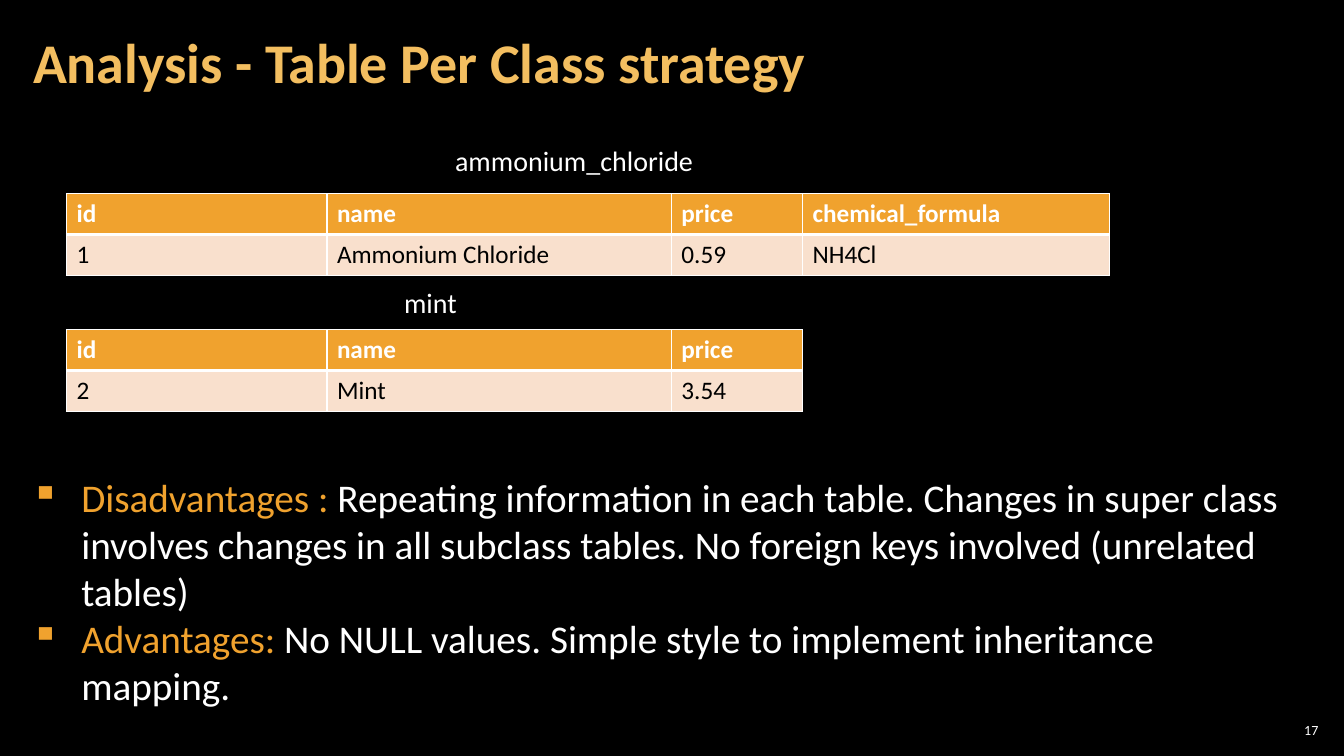
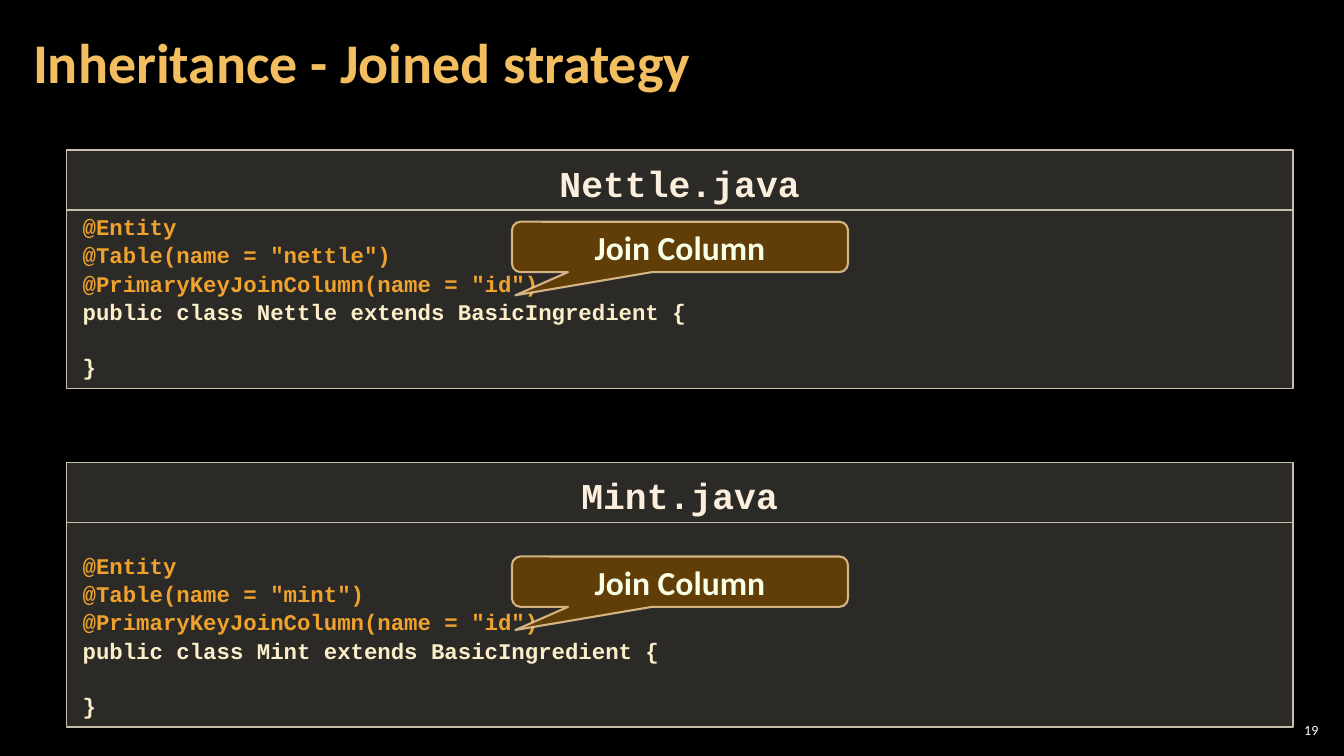
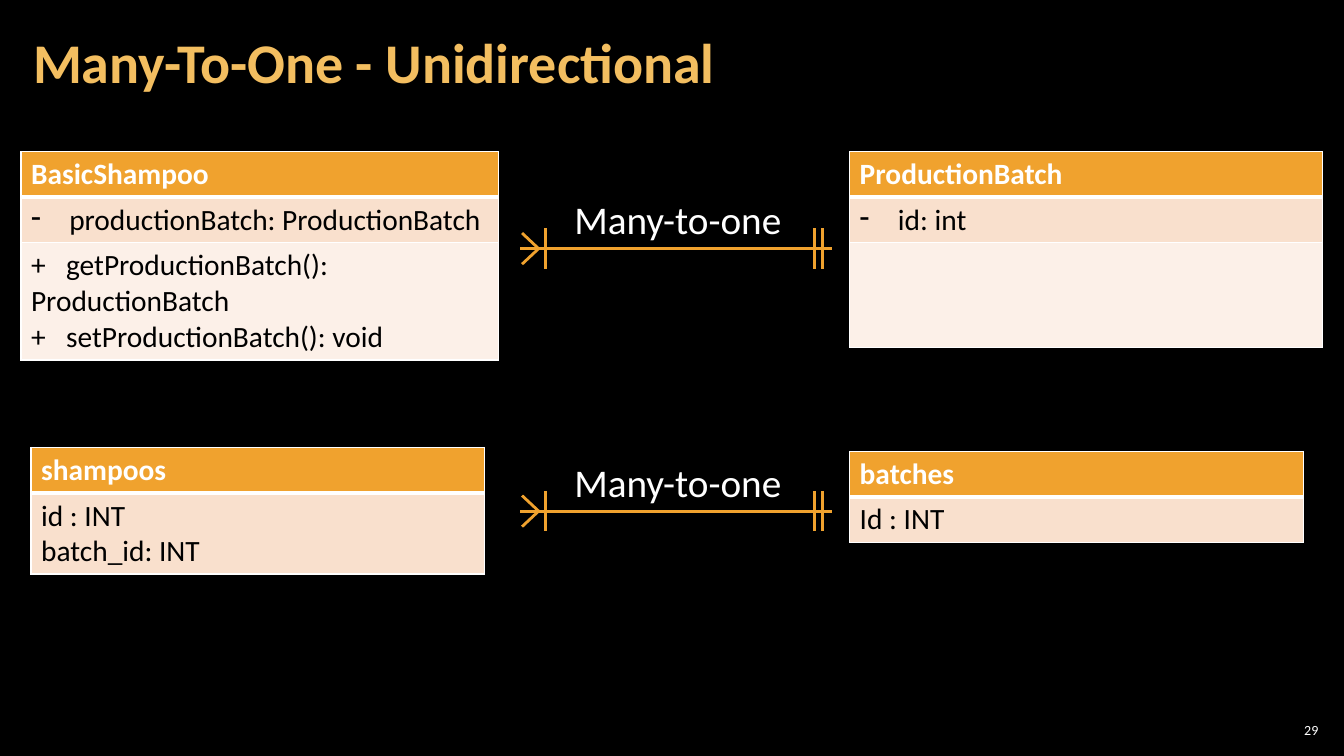
from lxml import etree
from pptx import Presentation
from pptx.dml.color import RGBColor
from pptx.enum.shapes import MSO_CONNECTOR, MSO_SHAPE
from pptx.enum.text import MSO_ANCHOR, PP_ALIGN
from pptx.oxml.ns import qn
from pptx.util import Inches, Pt

LEFT, CENTER, RIGHT = PP_ALIGN.LEFT, PP_ALIGN.CENTER, PP_ALIGN.RIGHT
TOP, MIDDLE, BOTTOM = MSO_ANCHOR.TOP, MSO_ANCHOR.MIDDLE, MSO_ANCHOR.BOTTOM
RECTANGLE = MSO_SHAPE.RECTANGLE
CALLOUT = MSO_SHAPE.ROUNDED_RECTANGULAR_CALLOUT
STRAIGHT = MSO_CONNECTOR.STRAIGHT

COLUMNS, ROWS = 64, 36
WIDTH, HEIGHT = Inches(40 / 3), Inches(7.5)


def rgb(hex_text):
    return RGBColor.from_string(hex_text)


class Deck:
    """Holds the style and the current slide; lengths are in grid cells."""

    BODY, CODE = "Calibri", "Courier New"
    BLACK, WHITE = "000000", "FFFFFF"
    ACCENT, TITLE = "F0A22E", "F3BE60"
    ROW_FILLS = [ACCENT, "F9E0CD", "FCF0E8"]
    CODE_FILL, CODE_LINE = "D9D5C7", "C7BFAC"
    CODE_HEADING, CODE_TEXT = "FBEEDC", "FBEEC9"
    CALLOUT_FILL, CALLOUT_LINE, CALLOUT_TEXT = "643F07", "F8D49E", "F7FFE7"

    def __init__(self):
        self.presentation = Presentation()
        self.presentation.slide_width = WIDTH
        self.presentation.slide_height = HEIGHT
        self.slide = None

    def x(self, columns):
        return round(WIDTH * columns / COLUMNS)

    def y(self, rows):
        return round(HEIGHT * rows / ROWS)

    def box(self, left, top, width, height):
        return self.x(left), self.y(top), self.x(width), self.y(height)

    def new_slide(self, title, number):
        layout = self.presentation.slide_layouts[6]
        self.slide = self.presentation.slides.add_slide(layout)
        background = self.slide.background.fill
        background.solid()
        background.fore_color.rgb = rgb(self.BLACK)
        self.text((60.72, 34.27, 2.25, 1), [number], 10, align=RIGHT,
                  anchor=MIDDLE, insets=(0.04, 0.04))
        self.text((1, 0.2, 50.25, 5.8), [title], 40, self.TITLE, bold=True,
                  anchor=MIDDLE, insets=(0.12, 0.04), spacing=0.9)

    def style(self, run, size, color, bold=False, font=BODY):
        run.font.size = Pt(size)
        run.font.name = font
        run.font.bold = bold
        run.font.color.rgb = rgb(color)

    def set_text(self, frame, lines, size, color=WHITE, bold=False, font=BODY,
                 align=LEFT, anchor=TOP, insets=(0.1, 0.05), spacing=None):
        frame.word_wrap = True
        frame.vertical_anchor = anchor
        frame.margin_left = frame.margin_right = Inches(insets[0])
        frame.margin_top = frame.margin_bottom = Inches(insets[1])
        frame.text = "\n".join(lines)
        for paragraph in frame.paragraphs:
            paragraph.alignment = align
            if spacing:
                paragraph.line_spacing = spacing
            for run in paragraph.runs:
                self.style(run, size, color, bold, font)

    def text(self, place, lines, size, color=WHITE, **options):
        shape = self.slide.shapes.add_textbox(*self.box(*place))
        self.set_text(shape.text_frame, lines, size, color, **options)
        return shape.text_frame

    def bullet(self, paragraph, character, indent):
        properties = paragraph._p.get_or_add_pPr()
        properties.set("marL", str(self.x(indent)))
        properties.set("indent", str(-self.x(indent)))
        etree.SubElement(properties, qn("a:buChar"), char=character)

    def tab_stop(self, paragraph, position):
        tabs = etree.SubElement(paragraph._p.get_or_add_pPr(), qn("a:tabLst"))
        etree.SubElement(tabs, qn("a:tab"), pos=str(self.x(position)), algn="l")

    def bullet_list(self, place, items, size):
        """Each item is an accented lead-in and its explanation."""
        frame = self.text(place, [lead for lead, _ in items], size, self.ACCENT)
        for paragraph, (_, explanation) in zip(frame.paragraphs, items):
            self.bullet(paragraph, "▪", 2.4)
            run = paragraph.add_run()
            run.text = explanation
            self.style(run, size, self.WHITE)

    def shape(self, kind, place, fill, line, width, alphas):
        """Alphas are the opacities of fill and line, in percent."""
        shape = self.slide.shapes.add_shape(kind, *self.box(*place))
        shape.shadow.inherit = False
        shape.fill.solid()
        shape.fill.fore_color.rgb = rgb(fill)
        shape.line.color.rgb = rgb(line)
        shape.line.width = Pt(width)
        colors = shape._element.spPr.iter(qn("a:srgbClr"))
        for color, percent in zip(list(colors), alphas):
            etree.SubElement(color, qn("a:alpha"), val=str(percent * 1000))
        return shape

    def code_panel(self, top, height, file_name, annotations, declaration):
        heading_height = 2.85
        places = [(3.17, top + heading_height, 58.4, height),
                  (3.17, top, 58.4, heading_height)]
        code, heading = [
            self.shape(RECTANGLE, place, self.CODE_FILL, self.CODE_LINE, 1,
                       (20, 100)).text_frame for place in places]
        common = dict(bold=True, font=self.CODE, insets=(0.16, 0.08),
                      spacing=1.06)
        self.set_text(heading, [file_name], 26, self.CODE_HEADING,
                      align=CENTER, **common)
        self.set_text(code, annotations + [declaration, "}"], 16, self.ACCENT,
                      anchor=BOTTOM, **common)
        for paragraph in code.paragraphs[-2:]:
            paragraph.runs[0].font.color.rgb = rgb(self.CODE_TEXT)
        code.paragraphs[-1].space_before = Pt(19.2)

    def callout(self, place, label):
        shape = self.shape(CALLOUT, place, self.CALLOUT_FILL,
                           self.CALLOUT_LINE, 1.5, (95, 80))
        for index, value in enumerate((-0.49, 0.96, 0.17)):
            shape.adjustments[index] = value
        self.set_text(shape.text_frame, [label], 24, self.CALLOUT_TEXT,
                      bold=True, align=CENTER, anchor=MIDDLE)

    def borders(self, cell, widths):
        """Widths are in points, for left, right, top and bottom."""
        properties = cell._tc.get_or_add_tcPr()
        for index, (side, width) in enumerate(zip("LRTB", widths)):
            line = etree.Element(qn("a:ln" + side), w=str(Pt(width)))
            fill = etree.SubElement(line, qn("a:solidFill"))
            etree.SubElement(fill, qn("a:srgbClr"), val=self.WHITE)
            properties.insert(index, line)

    def table(self, left, top, widths, heights, rows, size):
        place = self.box(left, top, sum(widths), sum(heights))
        table = self.slide.shapes.add_table(
            len(rows), len(widths), *place).table
        table.first_row = table.horz_banding = False
        for column, width in zip(table.columns, widths):
            column.width = self.x(width)
        for index, (row, height) in enumerate(zip(table.rows, heights)):
            row.height = self.y(height)
            header = index == 0
            for cell, value in zip(row.cells, rows[index]):
                cell.fill.solid()
                cell.fill.fore_color.rgb = rgb(self.ROW_FILLS[index])
                self.borders(cell, (1, 1, 3 if index == 1 else 1,
                                    3 if header else 1))
                cell.text = value
                for paragraph in cell.text_frame.paragraphs:
                    if "\t" in value:
                        self.tab_stop(paragraph, 1.67)
                    for run in paragraph.runs:
                        self.style(run, size,
                                   self.WHITE if header else self.BLACK, header)
        return table

    def class_table(self, left, top, width, heights, *values):
        rows = [[value] for value in values]
        return self.table(left, top, [width], heights, rows, 21)

    def line(self, x1, y1, x2, y2):
        connector = self.slide.shapes.add_connector(
            STRAIGHT, self.x(x1), self.y(y1), self.x(x2), self.y(y2))
        connector.line.color.rgb = rgb(self.ACCENT)
        connector.line.width = Pt(2)
        etree.SubElement(connector._element.spPr, qn("a:effectLst"))

    def many_to_one(self, middle):
        self.line(24.77, middle, 39.6, middle)
        for offset in (-0.74, 0.74):
            self.line(24.86, middle + offset, 25.65, middle)
        for bar in (25.97, 38.78, 39.17):
            self.line(bar, middle - 0.96, bar, middle + 0.96)
        self.text((26.88, middle - 2.76, 12, 2.74), ["Many-to-one"], 28)


def table_per_class(deck):
    deck.new_slide("Analysis - Table Per Class strategy", "17")
    widths, heights = [12.4, 16.4, 6.25, 14.6], [1.95, 1.95]
    deck.text((21.2, 6.62, 13.5, 2.1), ["ammonium_chloride"], 20)
    deck.table(3.17, 9.22, widths, heights,
               [["id", "name", "price", "chemical_formula"],
                ["1", "Ammonium Chloride", "0.59", "NH4Cl"]], 18)
    deck.text((18.77, 13.36, 3.8, 2.1), ["mint"], 20)
    deck.table(3.17, 15.7, widths[:3], heights,
               [["id", "name", "price"], ["2", "Mint", "3.54"]], 18)
    deck.bullet_list((1, 22.3, 61.92, 11.76), [
        ("Disadvantages : ",
         "Repeating information in each table. Changes in super class "
         "involves changes in all subclass tables. No foreign keys involved "
         "(unrelated tables)"),
        ("Advantages: ",
         "No NULL values. Simple style to implement inheritance mapping."),
    ], 28)


def joined_strategy(deck):
    deck.new_slide("Inheritance - Joined strategy", "19")
    panels = [(7.15, 8.5, 10.56, "Nettle"), (22.03, 9.75, 26.5, "Mint")]
    for top, height, callout_top, name in panels:
        deck.code_panel(top, height, f"{name}.java",
                        ["@Entity", f'@Table(name = "{name.lower()}")',
                         '@PrimaryKeyJoinColumn(name = "id")'],
                        f"public class {name} extends BasicIngredient {{")
        deck.callout((24.38, callout_top, 16, 2.4), "Join Column")


def many_to_one_unidirectional(deck):
    deck.new_slide("Many-To-One - Unidirectional", "29")
    header, line = 2.05, 2.15
    shampoo = deck.class_table(
        1, 7.22, 22.75, [header, line, 5.6], "BasicShampoo",
        "productionBatch: ProductionBatch",
        "+\tgetProductionBatch(): ProductionBatch\n"
        "+\tsetProductionBatch(): void")
    batch = deck.class_table(40.46, 7.22, 22.5, [header, line, 5],
                             "ProductionBatch", "id: int", "")
    for table in (shampoo, batch):
        deck.bullet(table.cell(1, 0).text_frame.paragraphs[0], "-", 1.82)
    deck.class_table(1.48, 21.31, 21.6, [header, 3.86],
                     "shampoos", "id : INT\nbatch_id: INT")
    deck.class_table(40.46, 21.5, 21.6, [header, line], "batches", "Id : INT")
    for middle in (11.84, 24.34):
        deck.many_to_one(middle)


def main():
    deck = Deck()
    table_per_class(deck)
    joined_strategy(deck)
    many_to_one_unidirectional(deck)
    deck.presentation.save("out.pptx")


if __name__ == "__main__":
    main()
